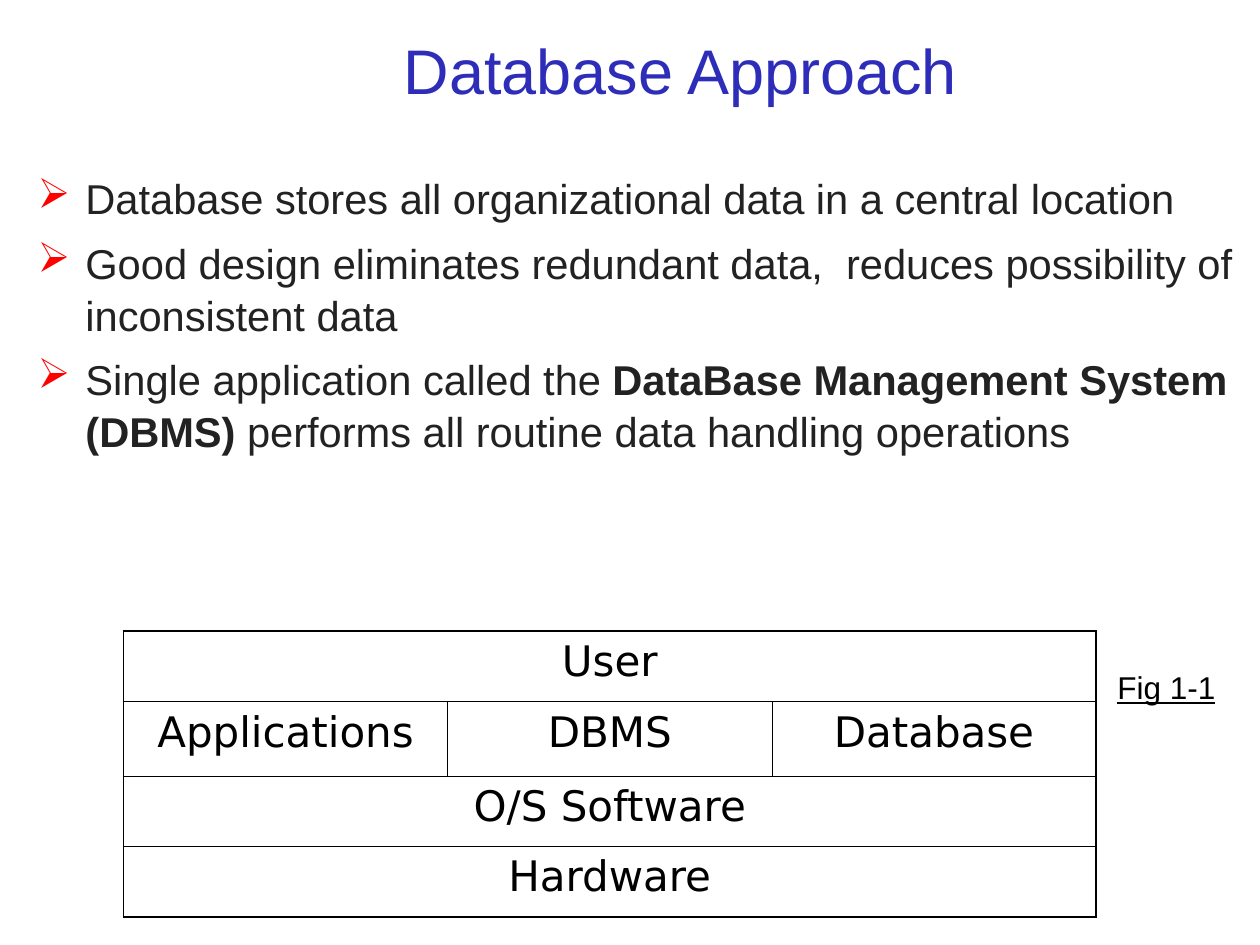
from pptx import Presentation
from pptx.dml.color import RGBColor
from pptx.enum.text import MSO_ANCHOR, PP_ALIGN
from pptx.oxml.ns import qn
from pptx.util import Inches, Pt
from lxml.etree import SubElement

BLUE = RGBColor(0x2D, 0x2D, 0xB9)
GREY = RGBColor(0x22, 0x22, 0x22)
BLACK = RGBColor(0, 0, 0)
RED = RGBColor(0xFF, 0, 0)
THICK, THIN = Pt(1.08), Pt(0.45)


def style(font, size, color, name="Arial"):
    font.size, font.name = Pt(size), name
    font.color.rgb = color


def edge(cell, side, width):
    """Draw one black border of a table cell."""
    line = SubElement(cell._tc.get_or_add_tcPr(), qn(f"a:ln{side}"), w=str(width))
    fill = SubElement(line, qn("a:solidFill"))
    SubElement(fill, qn("a:srgbClr"), val=str(BLACK))


deck = Presentation()
deck.slide_width, deck.slide_height = Inches(10), Inches(7.5)
slide = deck.slides.add_slide(deck.slide_layouts[6])
shapes = slide.shapes

# Title
title = shapes.add_textbox(Inches(1.14), Inches(0.13), Inches(8.52), Inches(0.84))
frame = title.text_frame
frame.word_wrap = True
frame.vertical_anchor = MSO_ANCHOR.MIDDLE
frame.text = "Database Approach"
frame.paragraphs[0].alignment = PP_ALIGN.CENTER
style(frame.paragraphs[0].runs[0].font, 36, BLUE)

# Bullets: each point is a list of runs, every second one bold
points = [
    ["Database stores all organizational data in a central location"],
    ["Good design eliminates redundant data,  reduces possibility of inconsistent data"],
    ["Single application called the ", "DataBase Management System (DBMS) ",
     "performs all routine data handling operations"],
]
body = shapes.add_textbox(Inches(0.2), Inches(1.31), Inches(9.8), Inches(3.07))
frame = body.text_frame
frame.word_wrap = True
for i, point in enumerate(points):
    para = frame.add_paragraph() if i else frame.paragraphs[0]
    para.line_spacing = 1.04
    if i:
        para.space_before = Pt(7)
    props = para._p.get_or_add_pPr()
    props.set("marL", str(Inches(0.38)))
    props.set("indent", str(-Inches(0.38)))
    tint = SubElement(props, qn("a:buClr"))
    SubElement(tint, qn("a:srgbClr"), val=str(RED))
    SubElement(props, qn("a:buChar"), char="➢")
    for j, text in enumerate(point):
        run = para.add_run()
        run.text = text
        run.font.bold = j % 2 == 1
        style(run.font, 23.8, GREY)

# System layers
layers = [["User"], ["Applications", "DBMS", "Database"], ["O/S Software"], ["Hardware"]]
heights = [0.56, 0.59, 0.56, 0.56]
cols, rows = 3, len(layers)
table = shapes.add_table(rows, cols, Inches(0.98), Inches(5.01),
                         Inches(7.72), Inches(sum(heights))).table
table.first_row = table.horz_banding = False
for r, names in enumerate(layers):
    table.rows[r].height = Inches(heights[r])
    whole = len(names) == 1
    if whole:
        table.cell(r, 0).merge(table.cell(r, cols - 1))
    for c in range(cols):
        cell = table.cell(r, c)
        last = c == cols - 1 or whole
        if not cell.is_spanned:
            edge(cell, "L", THIN if c else THICK)
        if not cell.is_spanned or c == cols - 1:
            edge(cell, "R", THICK if last else THIN)
        edge(cell, "T", THIN if r else THICK)
        edge(cell, "B", THICK if r == rows - 1 else THIN)
        cell.fill.background()
        if c < len(names):
            cell.text_frame.text = names[c]
            para = cell.text_frame.paragraphs[0]
            para.alignment = PP_ALIGN.CENTER
            style(para.runs[0].font, 24, BLACK, "DejaVu Sans")

# Figure label
label = shapes.add_textbox(Inches(8.77), Inches(5.25), Inches(0.98), Inches(0.4))
label.text_frame.text = "Fig 1-1"
font = label.text_frame.paragraphs[0].runs[0].font
style(font, 18, BLACK)
font.underline = True

deck.save("out.pptx")
